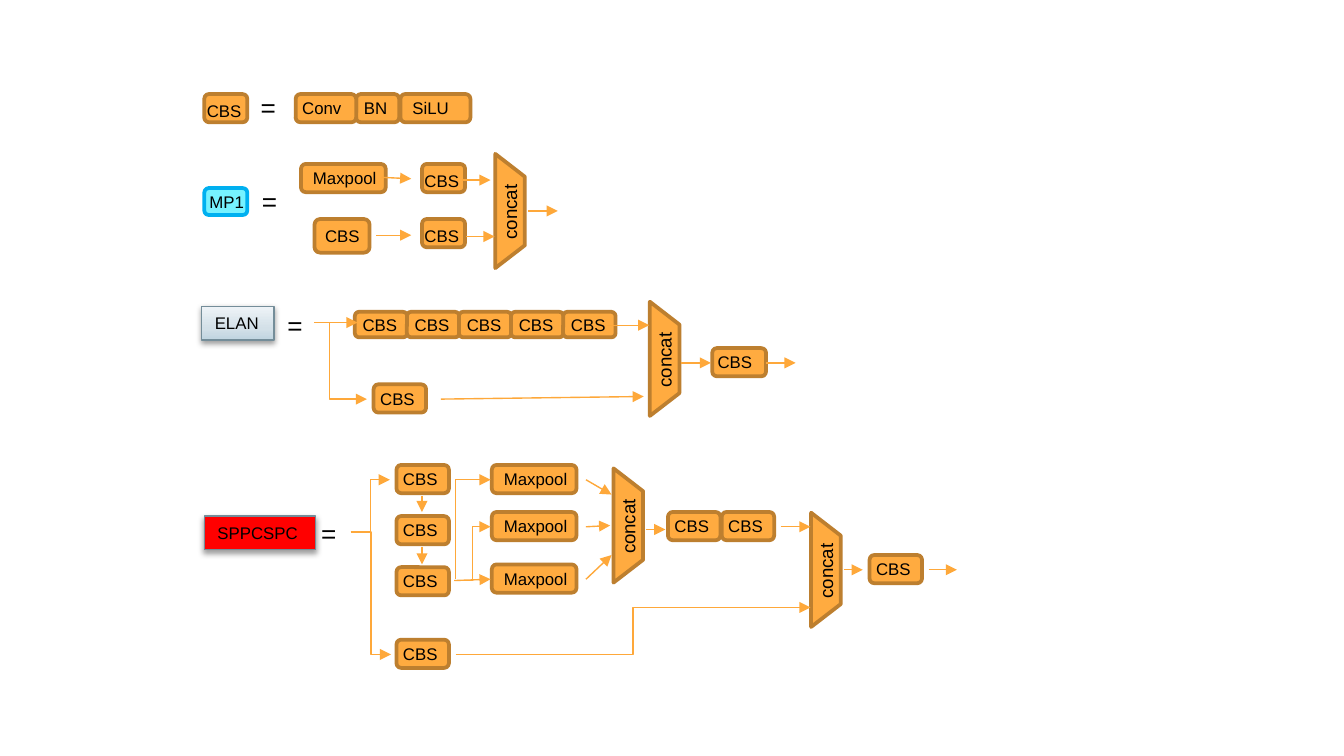
from dataclasses import dataclass
from typing import NamedTuple

from lxml.etree import SubElement
from pptx import Presentation
from pptx.dml.color import RGBColor
from pptx.enum.shapes import MSO_CONNECTOR as Connector, MSO_SHAPE as Preset
from pptx.enum.text import MSO_ANCHOR as Anchor, MSO_AUTO_SIZE as AutoSize, PP_ALIGN as Align
from pptx.oxml.ns import qn
from pptx.util import Inches, Pt


@dataclass(frozen=True)
class Theme:
    font: str = "Arial"
    text: str = "000000"
    orange: str = "FFAB40"
    brown: str = "BD7F2F"
    cyan: str = "76F2FF"
    blue: str = "00B0F0"
    red: str = "FF0000"
    slate: str = "748D99"
    arrow: str = "FEA83A"
    steel: tuple = ((0, "C0D4E0"), (35, "D3E0E8"), (100, "EEF3F7"))
    label_size: float = 9
    concat_size: float = 10
    equals_size: float = 14
    block_line: float = 2
    thin_line: float = 0.75


THEME = Theme()


class Block(NamedTuple):
    """A rounded box; the label is placed relative to the box corner."""
    text: str
    width: float
    height: float
    label_dx: float
    label_dy: float
    label_width: float
    fill: str = THEME.orange
    line: str = THEME.brown


class Panel(NamedTuple):
    text: str
    left: float
    top: float
    width: float
    fill: str | tuple


class Point(NamedTuple):
    x: float
    y: float


CBS = Block("CBS", 0.39, 0.21, -0.05, -0.02, 0.48)
CBS_NARROW = Block("CBS", 0.32, 0.21, -0.08, 0, 0.49)
CBS_TALL = Block("CBS", 0.41, 0.25, -0.02, 0, 0.48)
CBS_CHAIN = Block("CBS", 0.39, 0.19, -0.04, -0.03, 0.47)
CBS_OUTPUT = Block("CBS", 0.4, 0.21, -0.06, -0.02, 0.51)
MAXPOOL = Block("Maxpool", 0.63, 0.21, -0.01, -0.02, 0.71)
SILU = Block("SiLU", 0.52, 0.21, -0.01, -0.02, 0.53)
BN = Block("BN", 0.32, 0.21, -0.04, -0.02, 0.39)
CONV = Block("Conv", 0.45, 0.21, -0.05, -0.02, 0.55)
MP1 = Block("MP1", 0.32, 0.2, -0.06, -0.02, 0.51, THEME.cyan, THEME.blue)

BLOCKS = {
    CBS_NARROW: [(1.52, 0.7), (3.14, 1.22), (3.14, 1.63)],
    SILU: [(2.98, 0.7)],
    BN: [(2.65, 0.7)],
    CONV: [(2.2, 0.7)],
    MP1: [(1.52, 1.4)],
    MAXPOOL: [(2.24, 1.22), (3.66, 3.46), (3.66, 3.81), (3.66, 4.2)],
    CBS_TALL: [(2.34, 1.63)],
    CBS_CHAIN: [(2.64 + 1.55 / 4 * index, 2.32) for index in range(5)],
    CBS_OUTPUT: [(5.3, 2.59)],
    CBS: [(2.78, 2.86), *((2.95, 3.46 + 0.38 * index) for index in range(3)),
          (2.95, 4.76), (4.97, 3.81), (5.37, 3.81), (6.47, 4.13)],
}
PANELS = [Panel("ELAN", 1.5, 2.28, 0.54, THEME.steel),
          Panel("SPPCSPC", 1.52, 3.84, 0.83, THEME.red)]
CONCATS = [(3.37, 1.46), (4.52, 2.56), (4.25, 3.8), (5.72, 4.13)]
EQUALS = [(1.84, 0.63), (1.85, 1.33), (2.04, 2.25), (2.29, 3.8)]

STRAIGHT = [
    (2.84, 1.32, 3.06, 1.33), (2.8, 1.75, 3.06, 1.75), (3.44, 1.34, 3.65, 1.34),
    (3.47, 1.76, 3.68, 1.76), (3.93, 1.57, 4.15, 1.57),
    (2.34, 2.4, 2.66, 2.4), (4.52, 2.42, 4.83, 2.42), (3.28, 2.97, 4.79, 2.95),
    (5.07, 2.7, 5.29, 2.7), (5.7, 2.7, 5.92, 2.7),
    (3.14, 3.69, 3.14, 3.81), (3.14, 4.07, 3.14, 4.2), (3.38, 4.32, 3.65, 4.31),
    (4.36, 3.57, 4.55, 3.68), (4.36, 3.92, 4.54, 3.91), (4.36, 4.31, 4.55, 4.13),
    (4.81, 3.94, 4.95, 3.94), (5.81, 3.92, 6.03, 3.92),
    (6.28, 4.24, 6.42, 4.24), (6.91, 4.24, 7.12, 4.24),
]
STEPPED = [(3.38, 4.32, 3.65, 3.92), (3.39, 4.87, 6.03, 4.52),
           (2.61, 3.96, 2.9, 3.57), (2.61, 3.96, 2.91, 4.87)]
CORNERS = [(2.45, 2.4, 2.73, 2.97), (3.39, 4.31, 3.65, 3.57)]


def write_text(shape, text: str, size: float, wrap: bool = True) -> None:
    frame = shape.text_frame
    frame_format = {"word_wrap": wrap, "auto_size": AutoSize.SHAPE_TO_FIT_TEXT,
                    "vertical_anchor": Anchor.TOP}
    for name, value in frame_format.items():
        setattr(frame, name, value)
    paragraph = frame.paragraphs[0]
    paragraph.text = text
    paragraph.alignment = Align.LEFT
    font = paragraph.runs[0].font
    for name, value in {"name": THEME.font, "size": Pt(size)}.items():
        setattr(font, name, value)
    font.color.rgb = RGBColor.from_string(THEME.text)


def add_label(slide, text: str, left: float, top: float, width: float,
              height: float, size: float, wrap: bool = True, rotation: float = 0) -> None:
    box = slide.shapes.add_textbox(*map(Inches, (left, top, width, height)))
    box.rotation = rotation
    write_text(box, text, size, wrap)


def add_box(slide, preset, left: float, top: float, width: float, height: float,
            fill: str, line: str, line_width: float):
    shape = slide.shapes.add_shape(preset, *map(Inches, (left, top, width, height)))
    shape.shadow.inherit = False
    shape.fill.solid()
    shape.fill.fore_color.rgb = RGBColor.from_string(fill)
    shape.line.color.rgb = RGBColor.from_string(line)
    shape.line.width = Pt(line_width)
    return shape


def add_block(slide, block: Block, left: float, top: float) -> None:
    add_box(slide, Preset.ROUNDED_RECTANGLE, left, top, block.width, block.height,
            block.fill, block.line, THEME.block_line)
    add_label(slide, block.text, left + block.label_dx, top + block.label_dy,
              block.label_width, 0.25, THEME.label_size)


def add_concat(slide, left: float, top: float) -> None:
    shape = add_box(slide, Preset.FLOWCHART_MANUAL_OPERATION, left, top, 0.85, 0.22,
                    THEME.orange, THEME.brown, THEME.block_line)
    shape.rotation = 270
    add_label(slide, "concat", left + 0.12, top - 0.02, 0.61, 0.27,
              THEME.concat_size, wrap=False, rotation=270)


def add_panel(slide, panel: Panel) -> None:
    graded = isinstance(panel.fill, tuple)
    shape = add_box(slide, Preset.RECTANGLE, panel.left, panel.top, panel.width, 0.25,
                    panel.fill[0][1] if graded else panel.fill, THEME.slate, THEME.thin_line)
    properties = shape._element.spPr
    if graded:
        shape.fill.gradient()
        shape.fill.gradient_angle = 90
        stops = properties.find(".//" + qn("a:gsLst"))
        for stop in list(stops):
            stops.remove(stop)
        for position, color in panel.fill:
            stop = SubElement(stops, qn("a:gs"), pos=str(position * 1000))
            SubElement(stop, qn("a:srgbClr"), val=color)
    shadow = SubElement(properties.find(qn("a:effectLst")), qn("a:outerShdw"),
                        blurRad=str(Pt(3.1)), dist=str(Pt(1.6)), dir="5400000", rotWithShape="0")
    color = SubElement(shadow, qn("a:srgbClr"), val=THEME.text)
    SubElement(color, qn("a:alpha"), val="38000")
    write_text(shape, panel.text, THEME.label_size)


def add_arrow(slide, kind, begin: Point, end: Point):
    arrow = slide.shapes.add_connector(kind, *map(Inches, (*begin, *end)))
    arrow.line.color.rgb = RGBColor.from_string(THEME.arrow)
    arrow.line.width = Pt(THEME.thin_line)
    properties = arrow._element.spPr
    SubElement(properties.find(qn("a:ln")), qn("a:tailEnd"), type="triangle")
    SubElement(properties, qn("a:effectLst"))
    return arrow


def add_corner_arrow(slide, begin: Point, end: Point) -> None:
    """Run vertically from begin, then turn once to reach end on the right."""
    center = Point((begin.x + end.x) / 2, (begin.y + end.y) / 2)
    half_run, half_rise = abs(end.y - begin.y) / 2, (end.x - begin.x) / 2
    down = end.y > begin.y
    side = half_rise if down else -half_rise
    arrow = add_arrow(slide, Connector.ELBOW, Point(center.x - half_run, center.y + side),
                      Point(center.x + half_run, center.y - side))
    properties = arrow._element.spPr
    properties.find(qn("a:xfrm")).set("rot", str((90 if down else 270) * 60000))
    properties.find(qn("a:prstGeom")).set("prst", "bentConnector2")


def main() -> None:
    presentation = Presentation()
    presentation.slide_width = Inches(10)
    presentation.slide_height = Inches(10 * 9 / 16)
    slide = presentation.slides.add_slide(presentation.slide_layouts[6])
    for block, places in BLOCKS.items():
        for place in places:
            add_block(slide, block, *place)
    for panel in PANELS:
        add_panel(slide, panel)
    for place in CONCATS:
        add_concat(slide, *place)
    for left, top in EQUALS:
        add_label(slide, "=", left, top, 0.31, 0.34, THEME.equals_size, wrap=False)
    for kind, routes in ((Connector.STRAIGHT, STRAIGHT), (Connector.ELBOW, STEPPED)):
        for route in routes:
            add_arrow(slide, kind, Point(*route[:2]), Point(*route[2:]))
    for route in CORNERS:
        add_corner_arrow(slide, Point(*route[:2]), Point(*route[2:]))
    presentation.save("out.pptx")


if __name__ == "__main__":
    main()
